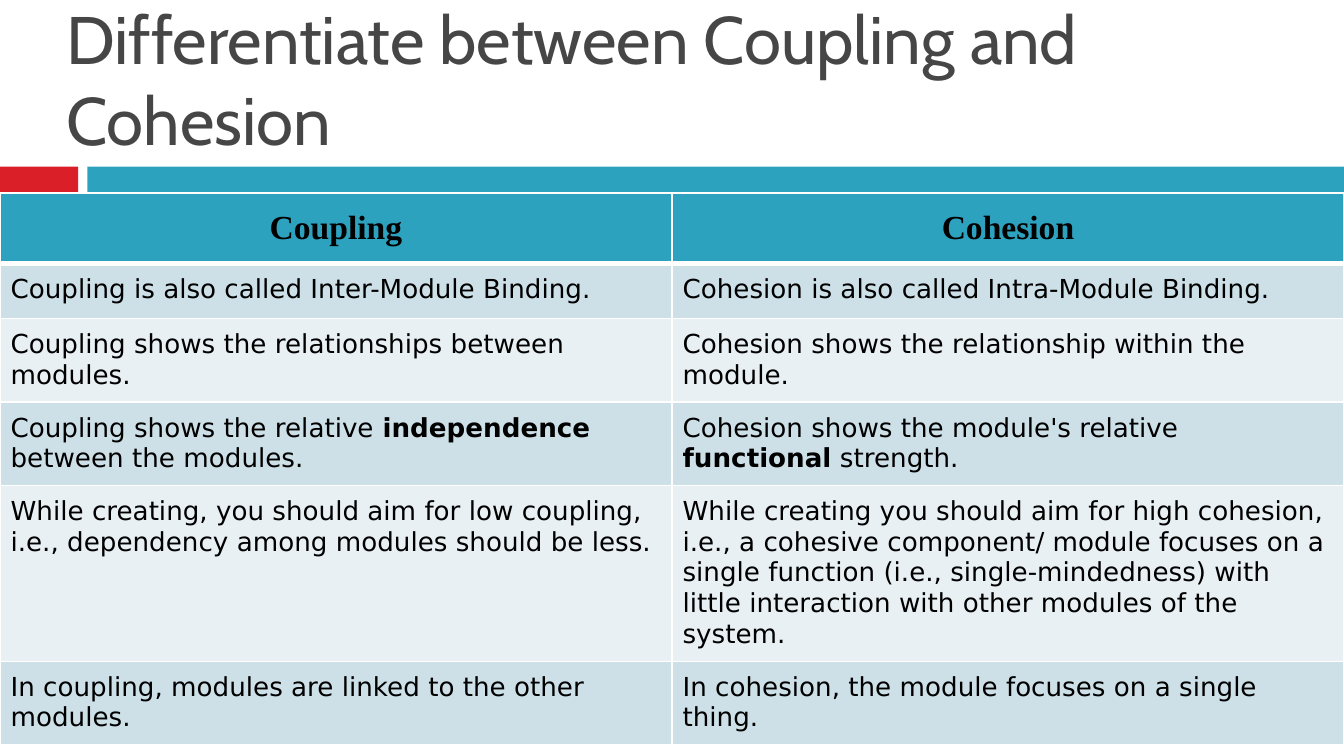
from pptx import Presentation
from pptx.dml.color import RGBColor
from pptx.enum.shapes import MSO_SHAPE as Shape
from pptx.enum.text import MSO_ANCHOR as Anchor, MSO_AUTO_SIZE as Fit, PP_ALIGN as Align
from pptx.oxml.ns import qn
from pptx.util import Cm, Pt
from lxml.etree import SubElement as Sub

# Content: asterisks enclose bold words
TITLE = "Differentiate between Coupling and Cohesion"
HEADS = ("Coupling", "Cohesion")
PAIRS = [
    ("Coupling is also called Inter-Module Binding.",
     "Cohesion is also called Intra-Module Binding."),
    ("Coupling shows the relationships between modules.",
     "Cohesion shows the relationship within the module."),
    ("Coupling shows the relative *independence* between the modules.",
     "Cohesion shows the module's relative *functional* strength."),
    ("While creating, you should aim for low coupling, i.e., dependency "
     "among modules should be less.",
     "While creating you should aim for high cohesion, i.e., a cohesive "
     "component/ module focuses on a single function (i.e., "
     "single-mindedness) with little interaction with other modules of "
     "the system."),
    ("In coupling, modules are linked to the other modules.",
     "In cohesion, the module focuses on a single thing."),
]
HIGH = (1.32, 1.04, 1.58, 1.58, 3.32, 1.58)  # row heights in cm
TEAL, RED, WHITE, BLACK, GREY = "2DA2BF", "DA1F28", "FFFFFF", "000000", "464646"
BANDS = ("CDE0E8", "E8F0F4")
WIDE, TALL = 25.4, 14.29


def paint(fill, hue):
    fill.solid()
    fill.fore_color.rgb = RGBColor.from_string(hue)


def style(font, name, size, hue, bold=None):
    font.name, font.size, font.bold = name, Pt(size), bold
    font.color.rgb = RGBColor.from_string(hue)


def bar(left, width, hue):
    box = slide.shapes.add_shape(Shape.RECTANGLE, Cm(left), Cm(3.15), Cm(width), Cm(0.48))
    box.shadow.inherit = False
    paint(box.fill, hue)
    box.line.fill.background()


def edge(cell, head):
    props = cell._tc.get_or_add_tcPr()
    for side in "LRTB":
        width = 3 if head and side == "B" else 1
        line = Sub(props, qn("a:ln" + side), w=str(Pt(width)))
        Sub(Sub(line, qn("a:solidFill")), qn("a:srgbClr"), val=WHITE)


def write(cell, text, head, hue):
    edge(cell, head)
    paint(cell.fill, hue)
    pad = Cm(0.3 if head else 0.2)
    cell.margin_left = cell.margin_right = cell.margin_top = cell.margin_bottom = pad
    para = cell.text_frame.paragraphs[0]
    para.alignment = Align.CENTER if head else Align.LEFT
    if head:
        style(para.font, "Times New Roman", 18, BLACK, True)
    else:
        style(para.font, "DejaVu Sans", 14, BLACK, False)
    for i, part in enumerate(text.split("*")):
        run = para.add_run()
        run.text = part
        if i % 2:
            run.font.bold = True


deck = Presentation()
deck.slide_width, deck.slide_height = Cm(WIDE), Cm(TALL)
slide = deck.slides.add_slide(deck.slide_layouts[5])

# Two-colour band under the title
bar(0, 1.48, RED)
bar(1.65, WIDE - 1.65, TEAL)

# Title
title = slide.shapes.title
title.left, title.top, title.width, title.height = Cm(1), Cm(0.33), Cm(23.83), Cm(2.8)
frame = title.text_frame
frame.text = TITLE
frame.word_wrap, frame.auto_size = True, Fit.NONE
frame.vertical_anchor = Anchor.BOTTOM
para = frame.paragraphs[0]
para.alignment = Align.LEFT
style(para.font, "Cabin", 36, GREY)

# Comparison table
rows = [HEADS, *PAIRS]
table = slide.shapes.add_table(len(rows), len(HEADS), Cm(0), Cm(3.66),
                               Cm(WIDE), Cm(sum(HIGH))).table
for r, (texts, high) in enumerate(zip(rows, HIGH)):
    table.rows[r].height = Cm(high)
    for c, text in enumerate(texts):
        hue = BANDS[(r - 1) % 2] if r else TEAL
        write(table.cell(r, c), text, r == 0, hue)

deck.save("out.pptx")
